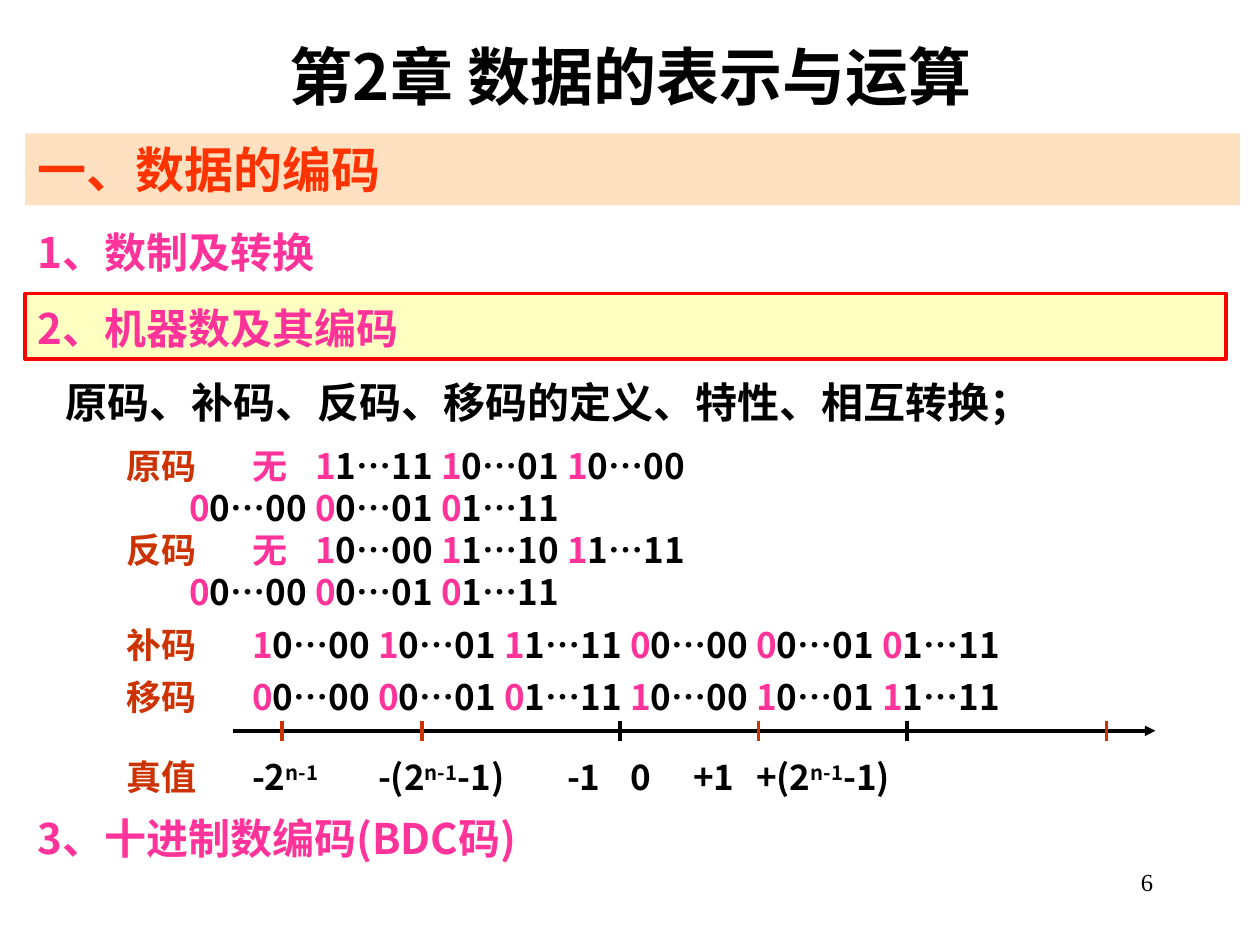
from dataclasses import dataclass
from lxml import etree
from pptx import Presentation
from pptx.dml.color import RGBColor
from pptx.enum import shapes, text
from pptx.oxml import ns
from pptx.util import Inches, Pt


@dataclass(frozen=True)
class Theme:
    font: str = "Noto Sans CJK SC"
    number_font: str = "Times New Roman"
    black: str = "000000"
    pink: str = "FF3399"
    rust: str = "CC3300"
    orange: str = "FF3300"
    red: str = "FF0000"
    peach: str = "FFCC99"
    yellow: str = "FFFF99"
    title: int = 36
    section: int = 28
    topic: int = 24
    code: int = 20
    number: int = 14
    line: int = 2


THEME = Theme()
CONTENT_LEFT = 0.2
CONTENT_WIDTH = 9.53
NEGATIVE_STOPS = (0.8, 1.4, 2.65, 3.71)
POSITIVE_STOPS = (2.07, 3.12, 4.38)
FULL_STOPS = (0.74, 1.8, 3.05, 4.12, 5.17, 6.43)
VALUE_STOPS = (0.8, 1.46, 2.84, 3.56, 4.17, 4.87)
CODE_ROWS = [
    ("原码", ["无", "11…11", "10…01", "10…00"], NEGATIVE_STOPS, 1),
    ("", ["00…00", "00…01", "01…11"], POSITIVE_STOPS, 1),
    ("反码", ["无", "10…00", "11…10", "11…11"], NEGATIVE_STOPS, 1),
    ("", ["00…00", "00…01", "01…11"], POSITIVE_STOPS, 1),
    ("补码", ["10…00", "10…01", "11…11", "00…00", "00…01", "01…11"], FULL_STOPS, 1.25),
    ("移码", ["00…00", "00…01", "01…11", "10…00", "10…01", "11…11"], FULL_STOPS, 1.25),
]
TRUE_VALUES = ["-2^n-1^", "-(2^n-1^-1)", "-1", "0", "+1", "+(2^n-1^-1)"]
TICKS = [(2.24, THEME.rust), (3.35, THEME.rust), (4.92, THEME.black),
         (6.02, THEME.rust), (7.2, THEME.black), (8.78, THEME.rust)]


def format_run(run, size, color, bold=True, name=THEME.font):
    run.font.size = Pt(size)
    run.font.bold = bold
    run.font.name = name
    run.font.color.rgb = RGBColor.from_string(color)
    east_asian = etree.SubElement(run._r.get_or_add_rPr(), ns.qn("a:ea"))
    east_asian.set("typeface", name)


def write_line(shape, words, size, color, spacing=1.0, align=text.PP_ALIGN.LEFT, **style):
    frame = shape.text_frame
    frame.word_wrap = True
    frame.text = words
    paragraph = frame.paragraphs[0]
    paragraph.alignment = align
    paragraph.line_spacing = spacing
    for run in paragraph.runs:
        format_run(run, size, color, **style)


def place(shape, left, top, width, height):
    shape.left, shape.top = Inches(left), Inches(top)
    shape.width, shape.height = Inches(width), Inches(height)


def add_label(slide, words, top, color, indent=0):
    shape = slide.shapes.add_textbox(
        Inches(CONTENT_LEFT + indent), Inches(top), Inches(CONTENT_WIDTH - indent), Inches(0.6))
    write_line(shape, words, THEME.topic, color, 1.25)


def add_band(slide, words, bounds, fill, size, color, spacing=1.0, outline=None):
    shape = slide.shapes.add_shape(
        shapes.MSO_SHAPE.RECTANGLE, *(Inches(value) for value in bounds))
    shape.shadow.inherit = False
    shape.fill.solid()
    shape.fill.fore_color.rgb = RGBColor.from_string(fill)
    fill_color = shape._element.spPr.find(".//" + ns.qn("a:srgbClr"))
    etree.SubElement(fill_color, ns.qn("a:alpha")).set("val", "60000")
    if outline:
        shape.line.color.rgb = RGBColor.from_string(outline)
        shape.line.width = Pt(THEME.line)
    else:
        shape.line.fill.background()
    shape.text_frame.vertical_anchor = text.MSO_ANCHOR.TOP
    write_line(shape, words, size, color, spacing)


def add_line(slide, start, end, color, arrow=False):
    points = (Inches(value) for value in (*start, *end))
    connector = slide.shapes.add_connector(shapes.MSO_CONNECTOR.STRAIGHT, *points)
    connector.line.color.rgb = RGBColor.from_string(color)
    connector.line.width = Pt(THEME.line)
    if arrow:
        etree.SubElement(connector.line._get_or_add_ln(), ns.qn("a:tailEnd")).set("type", "triangle")
    etree.SubElement(connector._element.spPr, ns.qn("a:effectLst"))


def add_run(paragraph, words, color, raised=False):
    run = paragraph.add_run()
    run.text = words
    format_run(run, THEME.code, color)
    if raised:
        run._r.get_or_add_rPr().set("baseline", "30000")


def start_row(paragraph, label, stops, spacing):
    properties = paragraph._p.get_or_add_pPr()
    properties.set("marL", "0")
    properties.set("indent", "0")
    paragraph.line_spacing = spacing
    paragraph.space_before = Pt(0)
    etree.SubElement(properties, ns.qn("a:buNone"))
    tabs = etree.SubElement(properties, ns.qn("a:tabLst"))
    for stop in stops:
        tab = etree.SubElement(tabs, ns.qn("a:tab"))
        tab.set("pos", str(Inches(stop)))
        tab.set("algn", "l")
    if label:
        add_run(paragraph, label, THEME.rust)


def fill_code_table(body):
    frame = body.text_frame
    frame.word_wrap = True
    frame.auto_size = text.MSO_AUTO_SIZE.NONE
    frame.margin_left = frame.margin_right = Inches(0.02)
    frame.margin_top = frame.margin_bottom = Inches(0.01)
    paragraph = frame.paragraphs[0]
    for label, codes, stops, spacing in CODE_ROWS:
        start_row(paragraph, label, stops, spacing)
        for code in codes:
            add_run(paragraph, "\t" + code[0], THEME.pink)
            if code[1:]:
                add_run(paragraph, code[1:], THEME.black)
        paragraph = frame.add_paragraph()
    start_row(paragraph, "真值", VALUE_STOPS, 1.9)
    for value in TRUE_VALUES:
        for index, part in enumerate(("\t" + value).split("^")):
            if part:
                add_run(paragraph, part, THEME.black, raised=index % 2 == 1)


def add_number_axis(slide):
    add_line(slide, (1.85, 5.8), (9.17, 5.8), THEME.black, arrow=True)
    for position, color in TICKS:
        add_line(slide, (position, 5.88), (position, 5.72), color)


def main():
    presentation = Presentation()
    presentation.slide_width, presentation.slide_height = Inches(10), Inches(7.5)
    slide = presentation.slides.add_slide(presentation.slide_layouts[1])
    title, body = slide.placeholders
    place(title, 0.92, 0.25, 8.17, 0.7)
    write_line(title, "第2章 数据的表示与运算", THEME.title, THEME.black,
               align=text.PP_ALIGN.CENTER)
    add_band(slide, "一、数据的编码", (CONTENT_LEFT, 1.06, 9.64, 0.57),
             THEME.peach, THEME.section, THEME.orange)
    add_label(slide, "1、数制及转换", 1.65, THEME.pink)
    add_band(slide, "2、机器数及其编码", (CONTENT_LEFT, 2.33, CONTENT_WIDTH, 0.52),
             THEME.yellow, THEME.topic, THEME.pink, 1.05, THEME.red)
    add_label(slide, "原码、补码、反码、移码的定义、特性、相互转换；", 2.84, THEME.black, 0.22)
    place(body, 0.98, 3.52, 8.27, 2.76)
    fill_code_table(body)
    add_number_axis(slide)
    add_label(slide, "3、十进制数编码(BDC码)", 6.3, THEME.pink)
    number = slide.shapes.add_textbox(Inches(7.17), Inches(6.83), Inches(2.08), Inches(0.5))
    write_line(number, "6", THEME.number, THEME.black, align=text.PP_ALIGN.RIGHT,
               bold=False, name=THEME.number_font)
    presentation.save("out.pptx")


if __name__ == "__main__":
    main()
